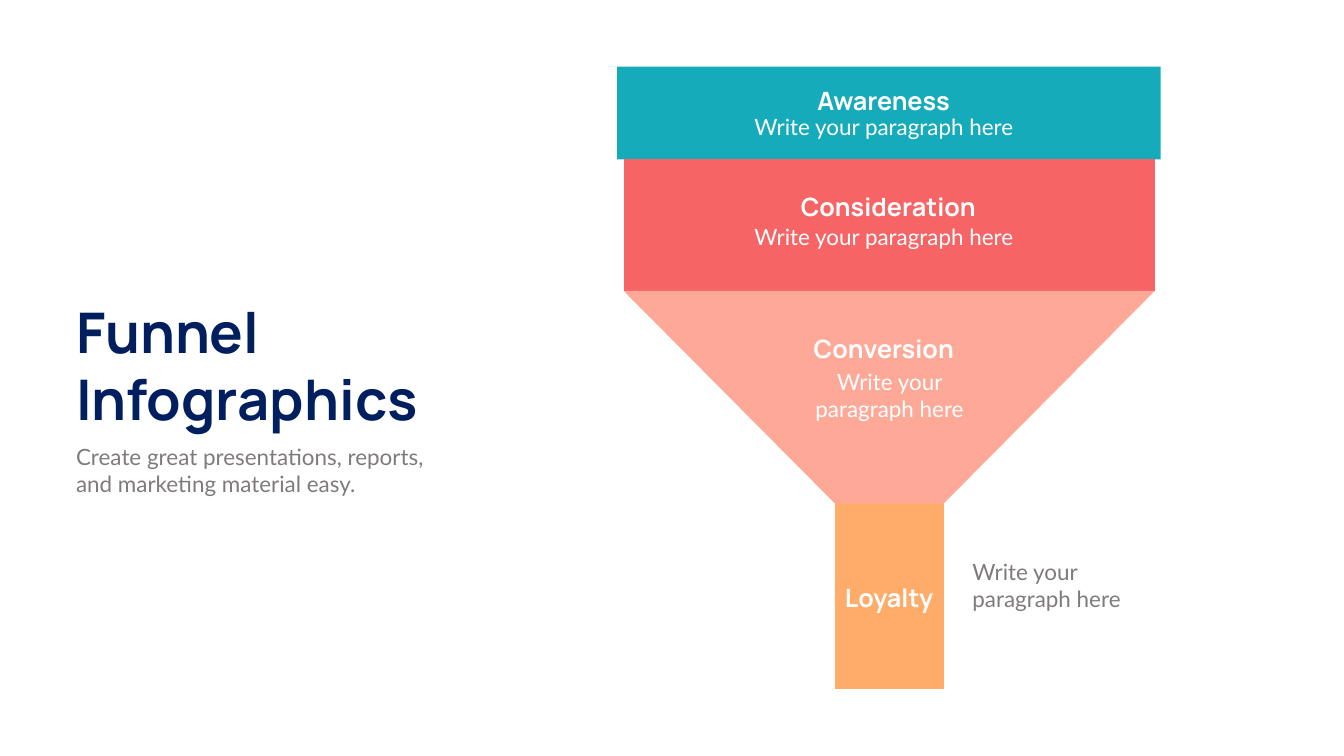
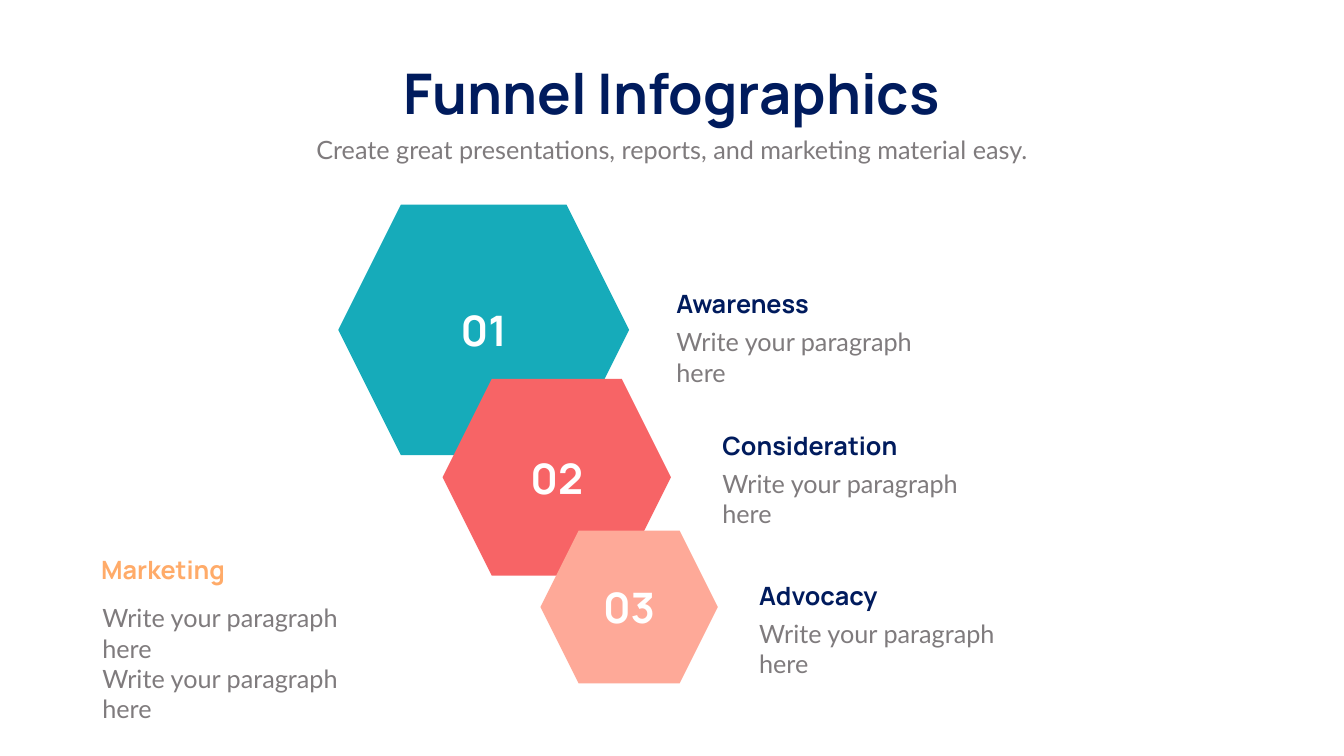
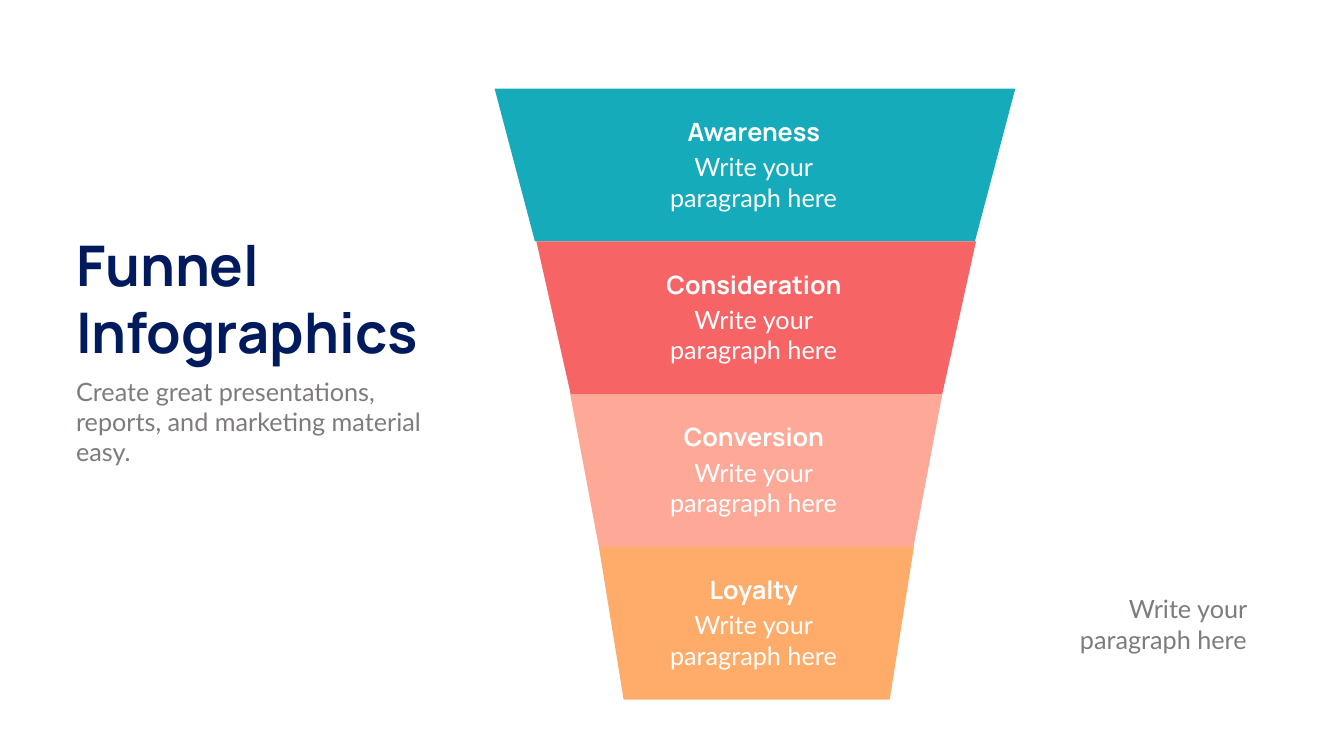
import pptx
import pptx.dml.color
import pptx.enum.shapes
import pptx.enum.text
import pptx.util

NAVY, GRAY, WHITE = "001B5D", "7F7B7D", "FFFFFF"
SLIDE_ONE_NAVY = "011F5F"
TEAL, CORAL, SALMON, ORANGE = "16ABBA", "F76466", "FEA998", "FFAB69"
STAGE_COLORS = [TEAL, CORAL, SALMON, ORANGE]
HEADING_FONT, BODY_FONT = "Manrope", "Lato"
LEFT = pptx.enum.text.PP_ALIGN.LEFT
CENTER = pptx.enum.text.PP_ALIGN.CENTER
RIGHT = pptx.enum.text.PP_ALIGN.RIGHT
PROMPT = "Write your paragraph here"
TAGLINE = "Create great presentations, reports, and marketing material easy."


def color(hex_string):
    return pptx.dml.color.RGBColor.from_string(hex_string)


class Deck:
    """Shared style and current slide; lengths are percent of the slide's size."""

    def __init__(self):
        self.presentation = pptx.Presentation()
        self.presentation.slide_width = pptx.util.Inches(26.66)
        self.presentation.slide_height = pptx.util.Inches(15)
        self.slide = None

    def new_slide(self):
        self.slide = self.presentation.slides.add_slide(self.presentation.slide_layouts[6])

    def across(self, percent):
        return round(self.presentation.slide_width * percent / 100)

    def down(self, percent):
        return round(self.presentation.slide_height * percent / 100)

    def paint(self, shape, fill):
        shape.shadow.inherit = False
        shape.fill.solid()
        shape.fill.fore_color.rgb = color(fill)
        shape.line.fill.background()

    def set_words(self, text_frame, words, size, font, ink, align):
        text_frame.word_wrap = True
        text_frame.text = words
        for paragraph in text_frame.paragraphs:
            paragraph.alignment = align
            for run in paragraph.runs:
                run.font.size = pptx.util.Pt(size)
                run.font.name = font
                run.font.bold = font == HEADING_FONT
                run.font.color.rgb = color(ink)

    def text(self, words, left, top, width, size, font, ink, align=LEFT, lines=1):
        height = pptx.util.Inches(0.1) + pptx.util.Pt(lines * size * 1.21)
        box = self.slide.shapes.add_textbox(
            self.across(left), self.down(top), self.across(width), height)
        self.set_words(box.text_frame, words, size, font, ink, align)
        box.text_frame.auto_size = pptx.enum.text.MSO_AUTO_SIZE.SHAPE_TO_FIT_TEXT

    def heading(self, words, left, top, width, ink=WHITE, align=CENTER):
        self.text(words, left, top, width, 36, HEADING_FONT, ink, align)

    def body(self, words, left, top, width, ink=GRAY, align=LEFT, size=36, lines=1):
        self.text(words, left, top, width, size, BODY_FONT, ink, align, lines)

    def side_title(self, top, body_size, ink=NAVY):
        self.text("Funnel\nInfographics", 5.29, top, 28.43, 80, HEADING_FONT, ink, lines=2)
        self.body(TAGLINE, 5.29, top + 19.27, 29.71, size=body_size, lines=2)

    def outline(self, points, fill):
        corners = [(self.across(x), self.down(y)) for x, y in points]
        builder = self.slide.shapes.build_freeform(*corners[0], scale=1.0)
        builder.add_line_segments(corners[1:], close=True)
        self.paint(builder.convert_to_shape(), fill)

    def layer(self, top, bottom, upper, lower, fill):
        self.outline([(upper[0], top), (upper[1], top),
                      (lower[1], bottom), (lower[0], bottom)], fill)

    def hexagon(self, label, left, top, width, height, fill):
        shape = self.slide.shapes.add_shape(
            pptx.enum.shapes.MSO_SHAPE.HEXAGON,
            self.across(left), self.down(top), self.across(width), self.down(height))
        self.paint(shape, fill)
        shape.text_frame.vertical_anchor = pptx.enum.text.MSO_ANCHOR.MIDDLE
        self.set_words(shape.text_frame, label, 60, HEADING_FONT, WHITE, CENTER)


def funnel_with_spout(deck):
    deck.new_slide()
    deck.side_title(39, 32, SLIDE_ONE_NAVY)

    # Funnel: spout, rim, body and cone
    spout, mouth = (62.12, 70.22), (46.4, 85.93)
    rim_top, rim_bottom, cone_top, cone_bottom = 8.8, 21.07, 38.47, 66.6
    deck.layer(53.93, 91.2, spout, spout, ORANGE)
    deck.outline([(45.31, rim_top), (86.35, rim_top), (86.35, rim_bottom),
                  (45.91, rim_bottom), (45.91, rim_top)], TEAL)
    deck.layer(rim_bottom, cone_top, mouth, mouth, CORAL)
    deck.layer(cone_top, cone_bottom, mouth, spout, SALMON)

    # Stage names
    for name, left, top, width in [
            ("Conversion", 56.08, 43.73, 19.35), ("Consideration", 47.56, 24.93, 37.06),
            ("Loyalty", 62.08, 76.67, 8.14), ("Awareness", 47.22, 10.93, 37.06)]:
        deck.heading(name, left, top, width)

    # Stage descriptions
    deck.body(PROMPT, 71.98, 73.53, 14.37, size=32, lines=2)
    deck.body(PROMPT, 59, 48.4, 14.37, WHITE, CENTER, 32, 2)
    for top in (29.13, 14.67):
        deck.body(PROMPT, 49.32, top, 32.9, WHITE, CENTER, 32)


def hexagon_steps(deck):
    deck.new_slide()
    deck.text("Funnel Infographics", 28.02, 7.47, 43.92, 80, HEADING_FONT, NAVY, CENTER)
    deck.body(TAGLINE, 10.95, 17.4, 78.09, align=CENTER)

    # Numbered hexagons, each with a heading and a description
    steps = [("Awareness", (25.17, 27.07, 21.64, 33.13), (49.96, 37.8)),
             ("Consideration", (32.93, 50.13, 16.99, 26), (53.38, 56.53)),
             ("Advocacy", (40.21, 70.2, 13.2, 20.2), (56.11, 76.4))]
    for number, (name, frame, (left, top)) in enumerate(steps, 1):
        deck.hexagon(f"{number:02}", *frame, STAGE_COLORS[number - 1])
        deck.heading(name, left, top, 37.06, NAVY, LEFT)
        deck.body(PROMPT, left, top + 5.07, 22.28)

    # Marketing note
    deck.heading("Marketing", 7.16, 72.93, 11.22, ORANGE, LEFT)
    deck.body(f"{PROMPT}\n{PROMPT}", 7.24, 79.4, 22.28, lines=2)


def tapered_funnel(deck):
    deck.new_slide()
    deck.side_title(30.13, 36)

    # Equal-height layers with their captions
    step = 20.2
    layers = [("Awareness", (36.8, 75.54), (39.8, 72.54)),
              ("Consideration", (39.91, 72.62), (42.46, 70.11)),
              ("Conversion", (42.42, 70.11), (44.56, 67.97)),
              ("Loyalty", (44.56, 68), (46.4, 66.2))]
    for index, (name, upper, lower) in enumerate(layers):
        top = 11.73 + index * step
        deck.layer(top, top + step, upper, lower, STAGE_COLORS[index])
        deck.heading(name, 48.5, top + 3.3, 15.19)
        deck.body(PROMPT, 48.99, top + 8, 14.14, WHITE, CENTER, lines=2)

    # Side note
    deck.body(PROMPT, 76.78, 78.2, 16.35, align=RIGHT, lines=2)


def main():
    deck = Deck()
    funnel_with_spout(deck)
    hexagon_steps(deck)
    tapered_funnel(deck)
    deck.presentation.save("out.pptx")


if __name__ == "__main__":
    main()
